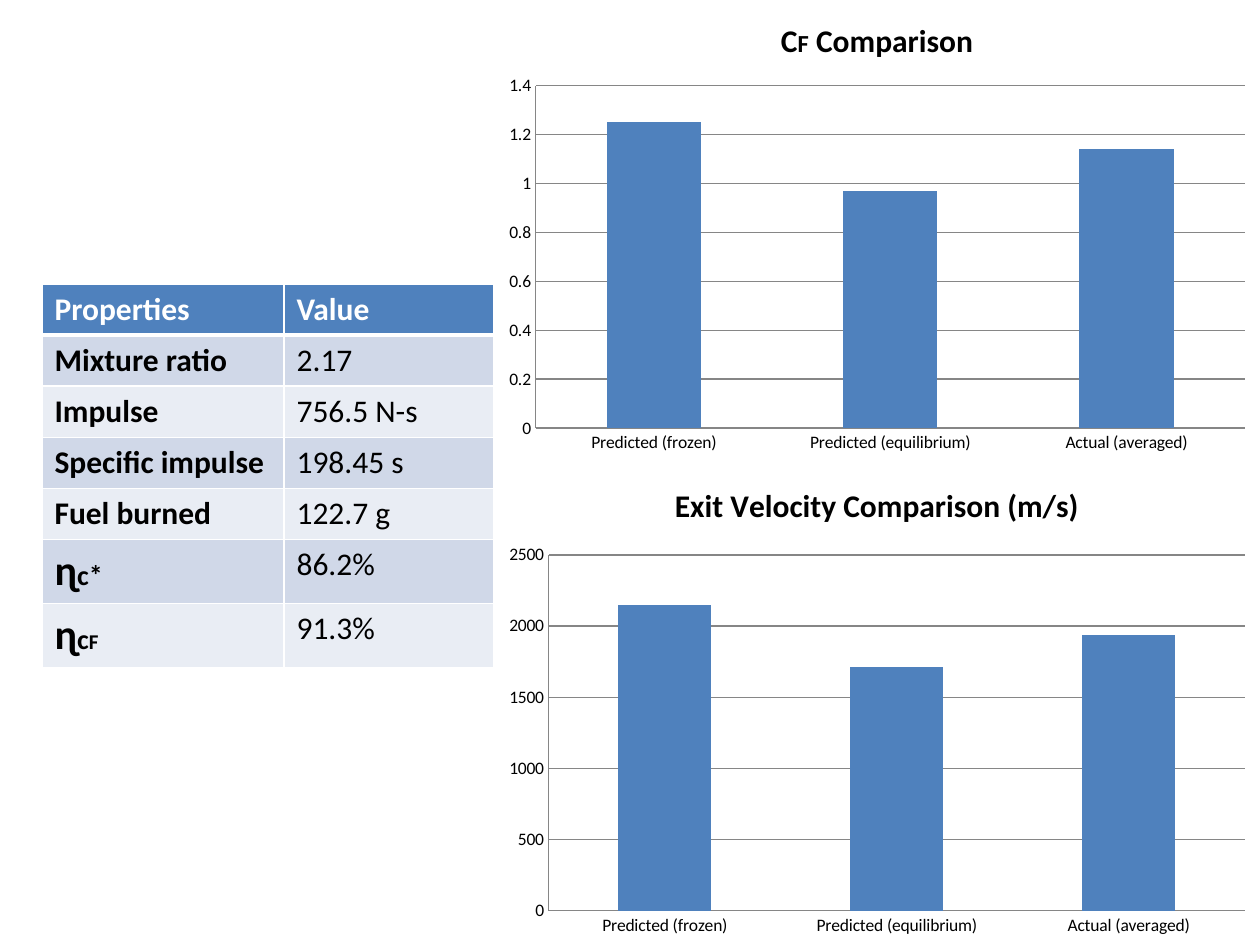
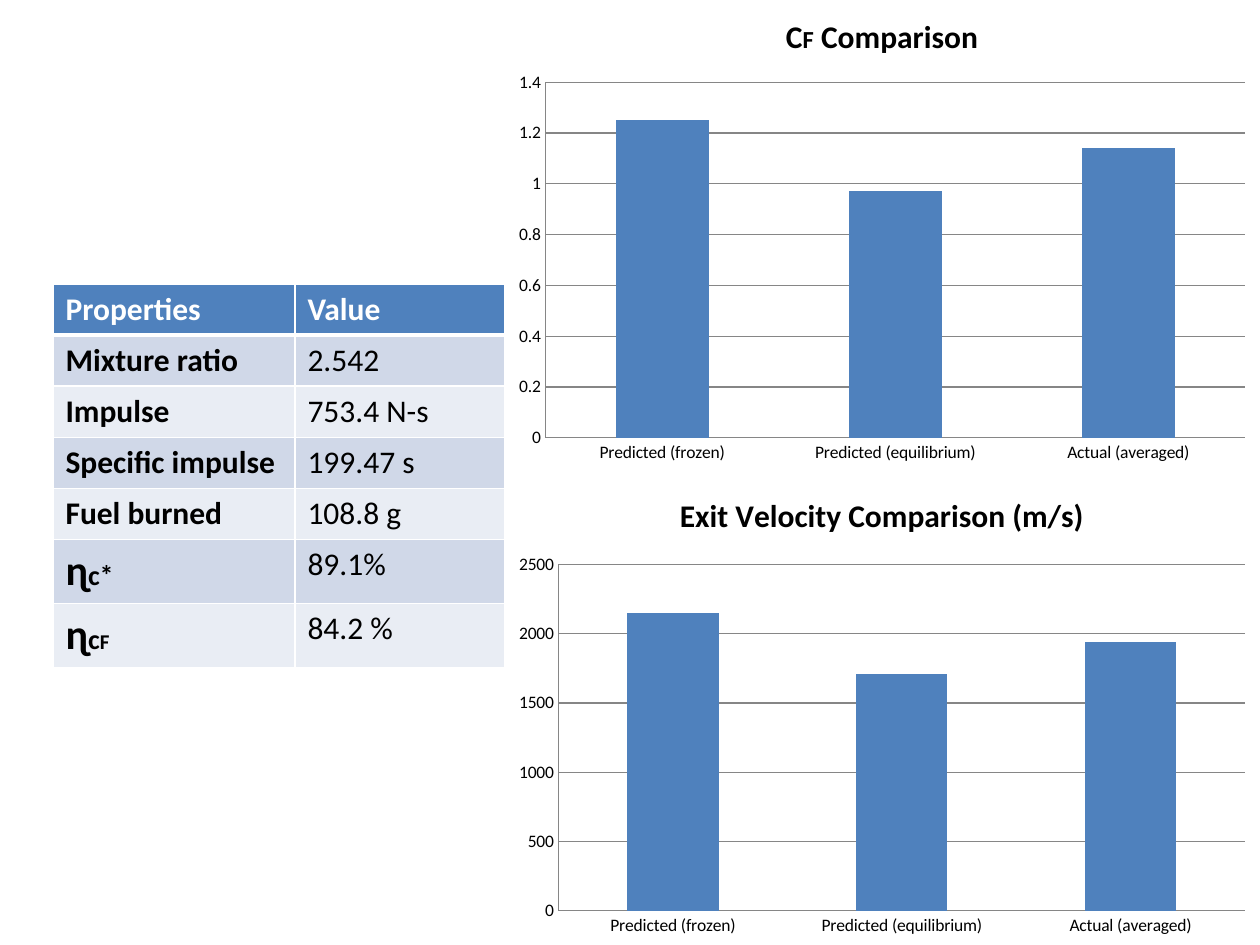
from dataclasses import dataclass

from lxml import etree
from pptx import Presentation
from pptx import util as u
from pptx.chart.data import CategoryChartData
from pptx.dml.color import RGBColor
from pptx.enum import chart as ch
from pptx.oxml.ns import qn

PX_PER_INCH = 126


@dataclass(frozen=True)
class Theme:
    font: str = "Calibri"
    accent: str = "4F81BD"
    band_dark: str = "D0D8E8"
    band_light: str = "E9EDF4"
    white: str = "FFFFFF"
    black: str = "000000"
    axis: str = "868686"
    body: int = 18
    symbol: int = 24
    subscript: int = 16
    small_subscript: int = 12
    title_subscript: int = 14
    label: int = 10


T = Theme()
BLANK_LAYOUT = 6
COLUMNS = (242, 210)
ROW_H, SYMBOL_ROW_H = 51, 64
CATEGORIES = ("Predicted (frozen)", "Predicted (equilibrium)", "Actual (averaged)")

# Each label is a list of (text, size) runs
ETA = ("ɳ", T.symbol)
PROPERTIES = (
    [("Mixture ratio", T.body)],
    [("Impulse", T.body)],
    [("Specific impulse", T.body)],
    [("Fuel burned", T.body)],
    [ETA, ("c*", T.subscript)],
    [ETA, ("c", T.subscript), ("F", T.small_subscript)],
)
CF_CHART = dict(
    title=[("C", T.body), ("F", T.title_subscript), (" Comparison", T.body)],
    values=(1.25, 0.97, 1.14), top=1.4, step=0.2)
VELOCITY_CHART = dict(
    title=[("Exit Velocity Comparison (m/s)", T.body)],
    values=(2150, 1710, 1940), top=2500, step=500)

# Boxes are (left, top, width, height) in px
TESTS = (
    dict(values=("2.17", "756.5 N-s", "198.45 s", "122.7 g", "86.2%", "91.3%"),
         table_at=(42, 284),
         cf_box=(494, 0, 766, 462), velocity_box=(494, 462, 766, 483)),
    dict(values=("2.542", "753.4 N-s", "199.47 s", "108.8 g", "89.1%", "84.2 %"),
         table_at=(53, 284),
         cf_box=(504, -4, 756, 476), velocity_box=(504, 472, 756, 473)),
)


def px(n):
    return u.Emu(n * 914400 // PX_PER_INCH)


def rgb(color):
    return RGBColor.from_string(color)


def style(font, size=T.body, color=T.black, bold=False):
    font.name, font.size, font.bold = T.font, u.Pt(size), bold
    font.color.rgb = rgb(color)


def write(tf, runs, **fmt):
    """Fill the first paragraph with (text, size) runs."""
    p = tf.paragraphs[0]
    for text, size in runs:
        r = p.add_run()
        r.text = text
        style(r.font, size=size, **fmt)


def set_borders(cell, top=1, bottom=1):
    tc_pr = cell._tc.get_or_add_tcPr()
    for side, width in (("L", 1), ("R", 1), ("T", top), ("B", bottom)):
        ln = etree.SubElement(tc_pr, qn(f"a:ln{side}"), w=str(u.Pt(width)))
        fill = etree.SubElement(ln, qn("a:solidFill"))
        etree.SubElement(fill, qn("a:srgbClr"), val=T.white)


def add_properties_table(s, left, top, values):
    header = ([("Properties", T.body)], "Value")
    rows = [header, *zip(PROPERTIES, values)]
    heights = [SYMBOL_ROW_H if ETA in label else ROW_H for label, _ in rows]
    table = s.shapes.add_table(len(rows), len(COLUMNS), px(left), px(top),
                               px(sum(COLUMNS)), px(sum(heights))).table
    for column, width in zip(table.columns, COLUMNS):
        column.width = px(width)
    for i, (label, value) in enumerate(rows):
        table.rows[i].height = px(heights[i])
        is_header = i == 0
        band = T.accent if is_header else T.band_dark if i % 2 else T.band_light
        for j, runs in enumerate((label, [(value, T.body)])):
            cell = table.cell(i, j)
            # The line under the header is heavier
            set_borders(cell, top=3 if i == 1 else 1, bottom=3 if is_header else 1)
            cell.fill.solid()
            cell.fill.fore_color.rgb = rgb(band)
            write(cell.text_frame, runs, bold=is_header or j == 0,
                  color=T.white if is_header else T.black)


def add_comparison_chart(s, box, title, values, top, step):
    data = CategoryChartData()
    data.categories = CATEGORIES
    data.add_series("Series 1", values)
    chart = s.shapes.add_chart(ch.XL_CHART_TYPE.COLUMN_CLUSTERED,
                               *map(px, box), data).chart
    style(chart.font, size=T.label)
    chart.has_legend = False
    chart.has_title = True
    write(chart.chart_title.text_frame, title, bold=True)

    # Bars
    plot = chart.plots[0]
    plot.gap_width = 150
    plot.vary_by_categories = False
    bars = plot.series[0].format.fill
    bars.solid()
    bars.fore_color.rgb = rgb(T.accent)

    # Axes and gridlines
    val, cat = chart.value_axis, chart.category_axis
    val.minimum_scale, val.maximum_scale, val.major_unit = 0, top, step
    val.has_major_gridlines = True
    for axis in (val, cat):
        axis.major_tick_mark = axis.minor_tick_mark = ch.XL_TICK_MARK.NONE
    for part in (val, cat, val.major_gridlines):
        part.format.line.color.rgb = rgb(T.axis)
        part.format.line.width = u.Pt(0.75)


def add_test_slide(prs, values, table_at, cf_box, velocity_box):
    s = prs.slides.add_slide(prs.slide_layouts[BLANK_LAYOUT])
    add_properties_table(s, *table_at, values)
    add_comparison_chart(s, cf_box, **CF_CHART)
    add_comparison_chart(s, velocity_box, **VELOCITY_CHART)


def main():
    prs = Presentation()
    prs.slide_width, prs.slide_height = px(1260), px(945)
    for test in TESTS:
        add_test_slide(prs, **test)
    prs.save("out.pptx")


if __name__ == "__main__":
    main()
